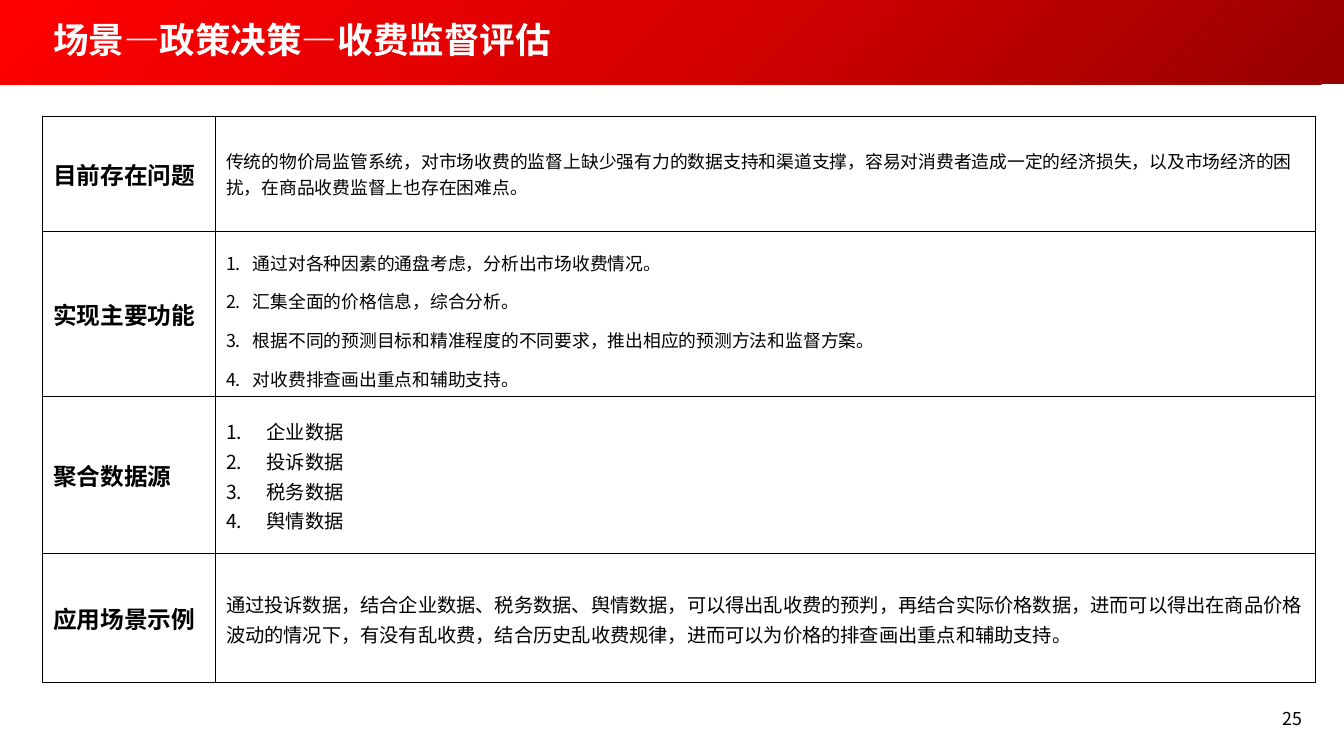
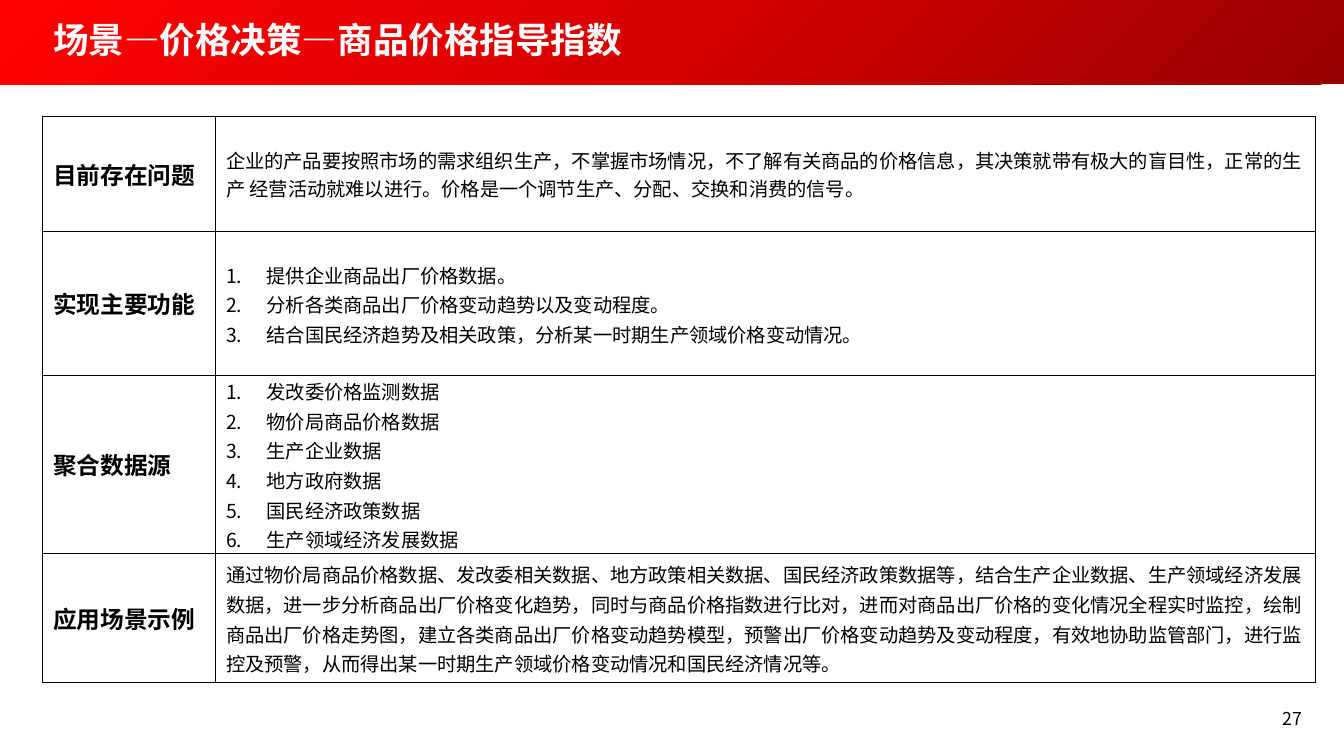
from copy import deepcopy
from pptx import Presentation
from pptx.dml.color import RGBColor
from pptx.enum.shapes import MSO_SHAPE
from pptx.enum.text import MSO_ANCHOR, PP_ALIGN
from pptx.oxml.ns import qn
from pptx.util import Inches, Pt
from lxml.etree import SubElement

HUES = {"dark": "970000", "mid": "D70000", "red": "FF0000",
        "white": "FFFFFF", "ink": "000000"}
SANS, LATIN = "Noto Sans CJK SC", "Calibri"
WIDE, HIGH, BAND = 12.6, 7.09, 0.79
COLS = [1.62, 10.31]
HEADS = ["目前存在问题", "实现主要功能", "聚合数据源", "应用场景示例"]
FULL = (0.1, 0.05, 0.1, 0.05)
TIGHT = (0.1, 0, 0.08, 0)

HEAD = {"size": 16, "bold": True}
NOTE = {"size": 12}
STEPS = {"size": 12, "space": 1.5, "indent": 0.25}
LIST = {"size": 13, "space": 1.07, "indent": 0.38}
DATA = {**LIST, "inset": TIGHT}
PROSE = {"size": 13, "face": LATIN}
CASE = {**PROSE, "space": 1.07, "inset": TIGHT}

SLIDES = [
    ("场景—政策决策—收费监督评估", "25", [
        (1.08, NOTE, ["传统的物价局监管系统，对市场收费的监督上缺少强有力的数据支持和渠道支撑，容易对消费者造成一定的经济损失，以及市场经济的困扰，在商品收费监督上也存在困难点。"]),
        (1.55, STEPS, ["通过对各种因素的通盘考虑，分析出市场收费情况。",
                       "汇集全面的价格信息，综合分析。",
                       "根据不同的预测目标和精准程度的不同要求，推出相应的预测方法和监督方案。",
                       "对收费排查画出重点和辅助支持。"]),
        (1.47, DATA, ["企业数据", "投诉数据", "税务数据", "舆情数据"]),
        (1.21, CASE, ["通过投诉数据，结合企业数据、税务数据、舆情数据，可以得出乱收费的预判，再结合实际价格数据，进而可以得出在商品价格波动的情况下，有没有乱收费，结合历史乱收费规律，进而可以为价格的排查画出重点和辅助支持。"]),
    ]),
    ("场景—价格决策—商品价格指导指数", "27", [
        (1.08, PROSE, ["企业的产品要按照市场的需求组织生产，不掌握市场情况，不了解有关商品的价格信息，其决策就带有极大的盲目性，正常的生产 经营活动就难以进行。价格是一个调节生产、分配、交换和消费的信号。"]),
        (1.35, LIST, ["提供企业商品出厂价格数据。",
                      "分析各类商品出厂价格变动趋势以及变动程度。",
                      "结合国民经济趋势及相关政策，分析某一时期生产领域价格变动情况。"]),
        (1.67, DATA, ["发改委价格监测数据", "物价局商品价格数据", "生产企业数据",
                      "地方政府数据", "国民经济政策数据", "生产领域经济发展数据"]),
        (1.21, CASE, ["通过物价局商品价格数据、发改委相关数据、地方政策相关数据、国民经济政策数据等，结合生产企业数据、生产领域经济发展数据，进一步分析商品出厂价格变化趋势，同时与商品价格指数进行比对，进而对商品出厂价格的变化情况全程实时监控，绘制商品出厂价格走势图，建立各类商品出厂价格变动趋势模型，预警出厂价格变动趋势及变动程度，有效地协助监管部门，进行监控及预警，从而得出某一时期生产领域价格变动情况和国民经济情况等。"]),
    ]),
]


def rgb(name):
    return RGBColor.from_string(HUES[name])


def number(para, indent):
    props = para._p.get_or_add_pPr()
    props.set("marL", str(Inches(indent)))
    props.set("indent", str(-Inches(indent)))
    SubElement(props, qn("a:buFont"), typeface=SANS)
    SubElement(props, qn("a:buAutoNum"), type="arabicPeriod")


def write(frame, lines, size, hue="ink", bold=False, face=SANS,
          space=None, indent=None, align=PP_ALIGN.LEFT):
    frame.word_wrap = True
    frame.text = "\n".join(lines)
    for para in frame.paragraphs:
        para.alignment = align
        if space:
            para.line_spacing = space
        if indent:
            number(para, indent)
        for run in para.runs:
            font = run.font
            font.size, font.bold, font.name = Pt(size), bold, face
            font.color.rgb = rgb(hue)
            SubElement(run._r.get_or_add_rPr(), qn("a:ea"), typeface=SANS)


def band(slide, box):
    shape = slide.shapes.add_shape(MSO_SHAPE.RECTANGLE, *map(Inches, box))
    shape.shadow.inherit = False
    shape.line.fill.background()
    fill = shape.fill
    fill.gradient()
    fill.gradient_angle = 135
    first = shape._element.spPr.find(".//" + qn("a:gs"))
    first.addnext(deepcopy(first))
    for stop, hue, pos in zip(fill.gradient_stops, ("dark", "mid", "red"), (0, 0.5, 1)):
        stop.color.rgb = rgb(hue)
        stop.position = pos


def label(slide, box, text, anchor=MSO_ANCHOR.TOP, **style):
    frame = slide.shapes.add_textbox(*map(Inches, box)).text_frame
    frame.vertical_anchor = anchor
    write(frame, [text], **style)


def border(cell):
    props = cell._tc.get_or_add_tcPr()
    for side in ("lnL", "lnR", "lnT", "lnB"):
        line = SubElement(props, qn("a:" + side), w=str(Pt(1)))
        fill = SubElement(line, qn("a:solidFill"))
        SubElement(fill, qn("a:srgbClr"), val=HUES["ink"])


def fill_cell(cell, lines, inset=FULL, **style):
    cell.vertical_anchor = MSO_ANCHOR.MIDDLE
    (cell.margin_left, cell.margin_top,
     cell.margin_right, cell.margin_bottom) = map(Inches, inset)
    border(cell)
    cell.fill.background()
    write(cell.text_frame, lines, **style)


def grid(slide, left, top, rows):
    box = (left, top, sum(COLS), sum(row[0] for row in rows))
    table = slide.shapes.add_table(len(rows), len(COLS), *map(Inches, box)).table
    table.first_row = table.horz_banding = False
    for col, width in zip(table.columns, COLS):
        col.width = Inches(width)
    for row, head, (height, style, lines) in zip(table.rows, HEADS, rows):
        row.height = Inches(height)
        fill_cell(row.cells[0], [head], **HEAD)
        fill_cell(row.cells[1], lines, **style)


def scene(deck, title, page, rows):
    slide = deck.slides.add_slide(deck.slide_layouts[6])
    band(slide, (0, 0, WIDE, BAND))
    label(slide, (0.4, 0, 10.87, BAND), title, MSO_ANCHOR.MIDDLE,
          size=24, hue="white", bold=True, space=0.9)
    grid(slide, 0.4, 1.09, rows)
    label(slide, (9.47, 6.59, 2.84, 0.38), page, size=12, align=PP_ALIGN.RIGHT)


def main():
    deck = Presentation()
    deck.slide_width, deck.slide_height = Inches(WIDE), Inches(HIGH)
    for parts in SLIDES:
        scene(deck, *parts)
    deck.save("out.pptx")


if __name__ == "__main__":
    main()
